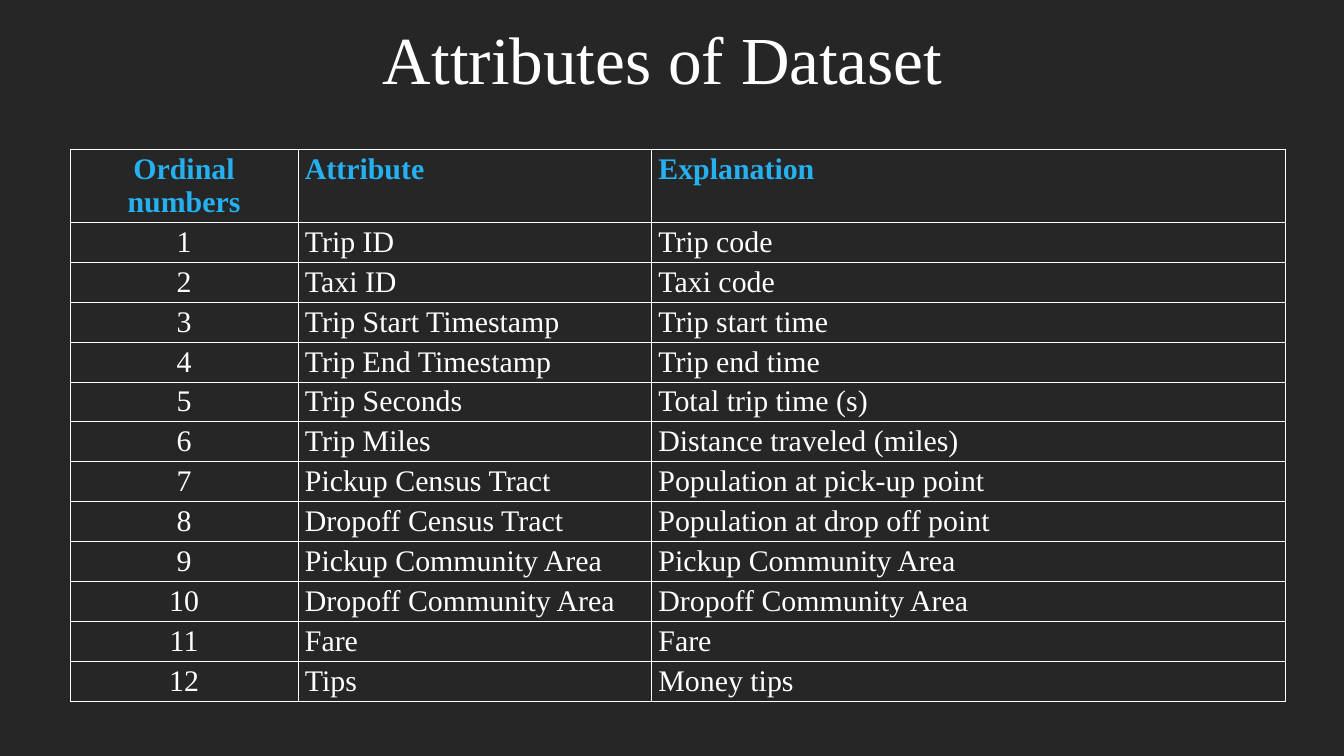
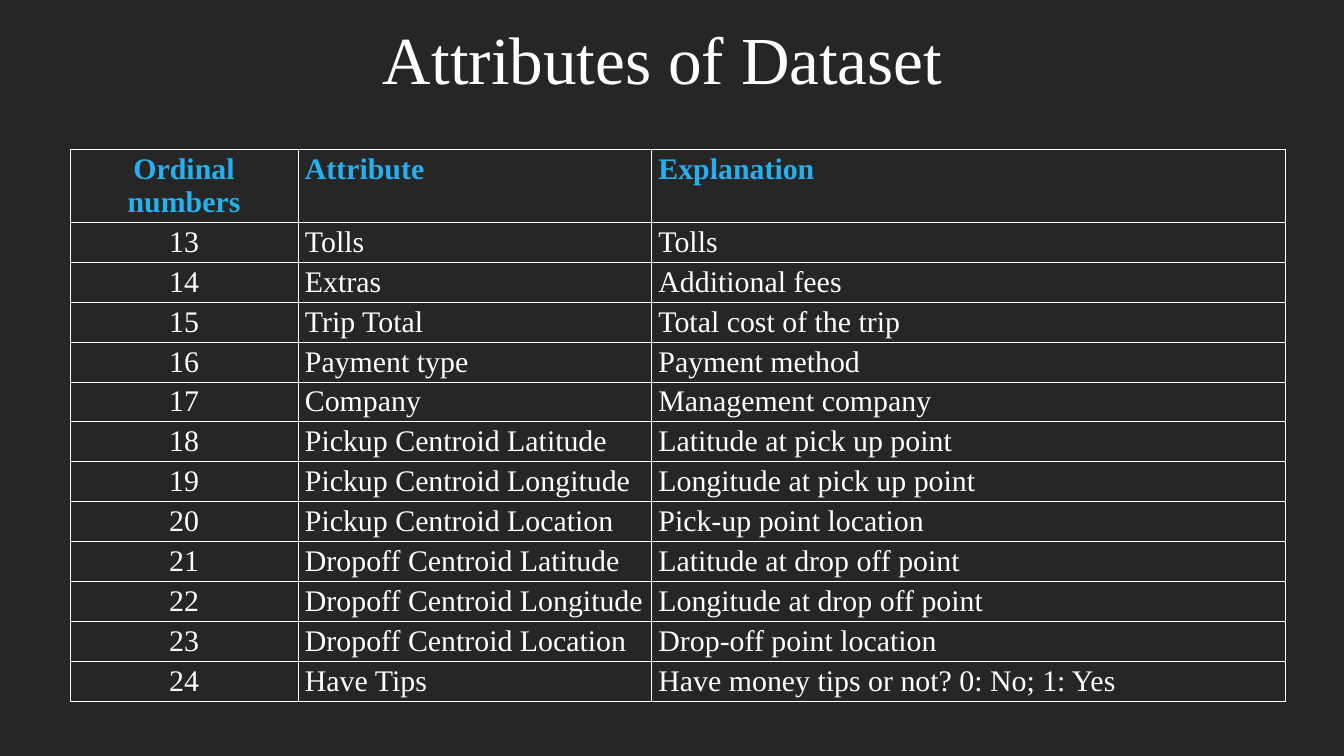
from lxml import etree
from pptx import Presentation
from pptx.dml.color import RGBColor
from pptx.enum.text import MSO_ANCHOR, MSO_AUTO_SIZE, PP_ALIGN
from pptx.oxml.ns import qn
from pptx.util import Emu, Pt

CENTER, LEFT = PP_ALIGN.CENTER, PP_ALIGN.LEFT
MIDDLE, NO_AUTOFIT = MSO_ANCHOR.MIDDLE, MSO_AUTO_SIZE.NONE

BACKGROUND = RGBColor(0x26, 0x26, 0x26)
WHITE = RGBColor(0xFF, 0xFF, 0xFF)
HEADER_BLUE = RGBColor(0x25, 0xB0, 0xEF)
FONT = "Times New Roman"

TITLE = "Attributes of Dataset"
HEADER = ("Ordinal numbers", "Attribute", "Explanation")
ATTRIBUTES = [
    ("Trip ID", "Trip code"),
    ("Taxi ID", "Taxi code"),
    ("Trip Start Timestamp", "Trip start time"),
    ("Trip End Timestamp", "Trip end time"),
    ("Trip Seconds", "Total trip time (s)"),
    ("Trip Miles", "Distance traveled (miles)"),
    ("Pickup Census Tract", "Population at pick-up point"),
    ("Dropoff Census Tract", "Population at drop off point"),
    ("Pickup Community Area", "Pickup Community Area"),
    ("Dropoff Community Area", "Dropoff Community Area"),
    ("Fare", "Fare"),
    ("Tips", "Money tips"),
    ("Tolls", "Tolls"),
    ("Extras", "Additional fees"),
    ("Trip Total", "Total cost of the trip"),
    ("Payment type", "Payment method"),
    ("Company", "Management company"),
    ("Pickup Centroid Latitude", "Latitude at pick up point"),
    ("Pickup Centroid Longitude", "Longitude at pick up point"),
    ("Pickup Centroid Location", "Pick-up point location"),
    ("Dropoff Centroid Latitude", "Latitude at drop off point"),
    ("Dropoff Centroid Longitude", "Longitude at drop off point"),
    ("Dropoff Centroid Location", "Drop-off point location"),
    ("Have Tips", "Have money tips or not? 0: No; 1: Yes"),
]
ROWS_PER_PAGE = 12

# Lengths in px, 96 to the inch
PX = 9525
PAGE_SIZE = (1920, 1080)
TITLE_BOX = (83, 34, 1728, 96)
TITLE_INSETS = (17, 9)
TABLE_LEFT, TABLE_TOP = 100, 213
COLUMN_WIDTHS = (326, 505, 905)
HEADER_HEIGHT, ROW_HEIGHT = 104, 57


def px(length):
    return Emu(length * PX)


def style_paragraph(para, size, color, align, bold=False):
    para.alignment = align
    font = para.font
    font.name, font.size, font.bold = FONT, Pt(size), bold
    font.color.rgb = color


def add_title(page):
    title = page.shapes.title
    title.left, title.top, title.width, title.height = map(px, TITLE_BOX)
    frame = title.text_frame
    frame.text = TITLE
    frame.auto_size = NO_AUTOFIT
    frame.vertical_anchor = MIDDLE
    frame.margin_left = frame.margin_right = px(TITLE_INSETS[0])
    frame.margin_top = frame.margin_bottom = px(TITLE_INSETS[1])
    style_paragraph(frame.paragraphs[0], 72, WHITE, CENTER)


def add_borders(cell):
    """Draw a 1 pt white line on all four sides of the cell."""
    properties = cell._tc.get_or_add_tcPr()
    for index, side in enumerate(("lnL", "lnR", "lnT", "lnB")):
        line = etree.Element(qn(f"a:{side}"), w=str(Pt(1)))
        fill = etree.SubElement(line, qn("a:solidFill"))
        etree.SubElement(fill, qn("a:srgbClr"), val=str(WHITE))
        properties.insert(index, line)


def add_attribute_table(page, rows):
    heights = [HEADER_HEIGHT] + [ROW_HEIGHT] * (len(rows) - 1)
    table = page.shapes.add_table(
        len(rows), len(HEADER), px(TABLE_LEFT), px(TABLE_TOP),
        px(sum(COLUMN_WIDTHS)), px(sum(heights))).table
    table.first_row = table.horz_banding = False
    for column, width in zip(table.columns, COLUMN_WIDTHS):
        column.width = px(width)
    for row, height in zip(table.rows, heights):
        row.height = px(height)
    for r, texts in enumerate(rows):
        is_header = r == 0
        for c, text in enumerate(texts):
            cell = table.cell(r, c)
            cell.text = text
            cell.fill.background()
            add_borders(cell)
            style_paragraph(cell.text_frame.paragraphs[0], 32,
                            HEADER_BLUE if is_header else WHITE,
                            CENTER if c == 0 else LEFT, is_header)


def main():
    deck = Presentation()
    deck.slide_width, deck.slide_height = map(px, PAGE_SIZE)
    background = deck.slide_master.background.fill
    background.solid()
    background.fore_color.rgb = BACKGROUND
    title_only = deck.slide_layouts.get_by_name("Title Only")
    numbered = [(str(number), *texts)
                for number, texts in enumerate(ATTRIBUTES, start=1)]
    for start in range(0, len(numbered), ROWS_PER_PAGE):
        page = deck.slides.add_slide(title_only)
        add_title(page)
        add_attribute_table(page, [HEADER] + numbered[start:start + ROWS_PER_PAGE])
    deck.save("out.pptx")


if __name__ == "__main__":
    main()
